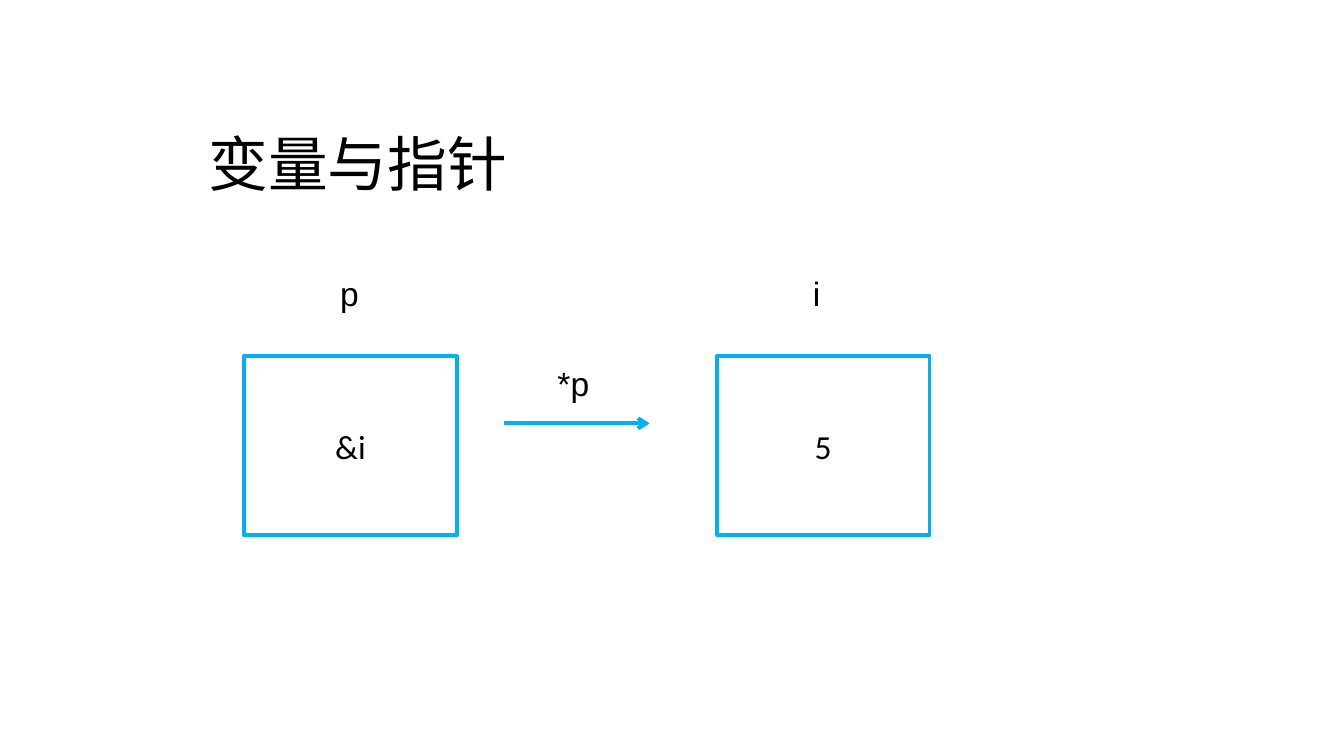
from pptx import Presentation
from pptx.dml.color import RGBColor
from pptx.enum.shapes import MSO_CONNECTOR as Connector, MSO_SHAPE as Shape
from pptx.enum.text import MSO_ANCHOR as Anchor, MSO_AUTO_SIZE as AutoSize, PP_ALIGN as Align
from pptx.oxml.ns import qn
from pptx.util import Inches, Pt
from lxml.etree import SubElement

BLACK = RGBColor(0, 0, 0)
WHITE = RGBColor(255, 255, 255)
CYAN = RGBColor(0, 0xB0, 0xF0)

TITLE_ONLY = 5
BOX_TOP, BOX_WIDTH, BOX_HEIGHT = 31.8, 19, 16
LABEL_TOP, LABEL_INDENT, LABEL_HEIGHT = 23.8, 7.4, 4.8


def grid(*cells):
    """Turn columns and rows of a twelfth of an inch into lengths."""
    return [Inches(cell / 12) for cell in cells]


def write(frame, text, size, font, align=Align.LEFT):
    paragraph = frame.paragraphs[0]
    paragraph.alignment = align
    run = paragraph.add_run()
    run.text = text
    run.font.size = Pt(size)
    run.font.name = font
    run.font.color.rgb = BLACK


def add_title(slide, text):
    title = slide.shapes.title
    title.left, title.top, title.width, title.height = grid(15, 10.7, 43, 8)
    frame = title.text_frame
    frame.auto_size = AutoSize.NONE
    frame.vertical_anchor = Anchor.TOP
    frame.margin_left = Inches(0.3)
    write(frame, text, 32, "Calibri")


def add_label(shapes, text, left, top, width, wrap=False):
    label = shapes.add_textbox(*grid(left, top, width, LABEL_HEIGHT))
    label.text_frame.word_wrap = wrap
    label.text_frame.auto_size = AutoSize.SHAPE_TO_FIT_TEXT
    write(label.text_frame, text, 18, "Arial")


def add_variable(slide, name, value, left, name_width):
    """Group a memory box holding a value with the name above it."""
    variable = slide.shapes.add_group_shape().shapes
    box = variable.add_shape(
        Shape.RECTANGLE, *grid(left, BOX_TOP, BOX_WIDTH, BOX_HEIGHT))
    box.shadow.inherit = False
    box.fill.solid()
    box.fill.fore_color.rgb = WHITE
    box.line.color.rgb = CYAN
    box.line.width = Pt(2)
    box.text_frame.vertical_anchor = Anchor.MIDDLE
    write(box.text_frame, value, 18, "Calibri", Align.CENTER)
    add_label(variable, name, left + LABEL_INDENT, LABEL_TOP, name_width)


def add_arrow(slide, start, end, row):
    arrow = slide.shapes.add_connector(
        Connector.STRAIGHT, *grid(start, row, end, row))
    arrow.line.color.rgb = CYAN
    arrow.line.width = Pt(2)
    # Open arrowhead, no shadow
    SubElement(arrow.line._get_or_add_ln(), qn("a:tailEnd"), type="arrow")
    SubElement(arrow._element.spPr, qn("a:effectLst"))


def main():
    deck = Presentation()
    # Widescreen, 16:9
    deck.slide_width = Inches(10)
    deck.slide_height = deck.slide_width * 9 // 16
    slide = deck.slides.add_slide(deck.slide_layouts[TITLE_ONLY])

    add_title(slide, "变量与指针")

    # The pointer, and the variable it points to
    add_variable(slide, "p", "&i", left=21.8, name_width=4.1)
    add_arrow(slide, start=45, end=58, row=37.8)
    add_variable(slide, "i", "5", left=64, name_width=3.1)
    add_label(slide.shapes, "*p", 48.6, BOX_TOP, 5.8, wrap=True)

    deck.save("out.pptx")


if __name__ == "__main__":
    main()
